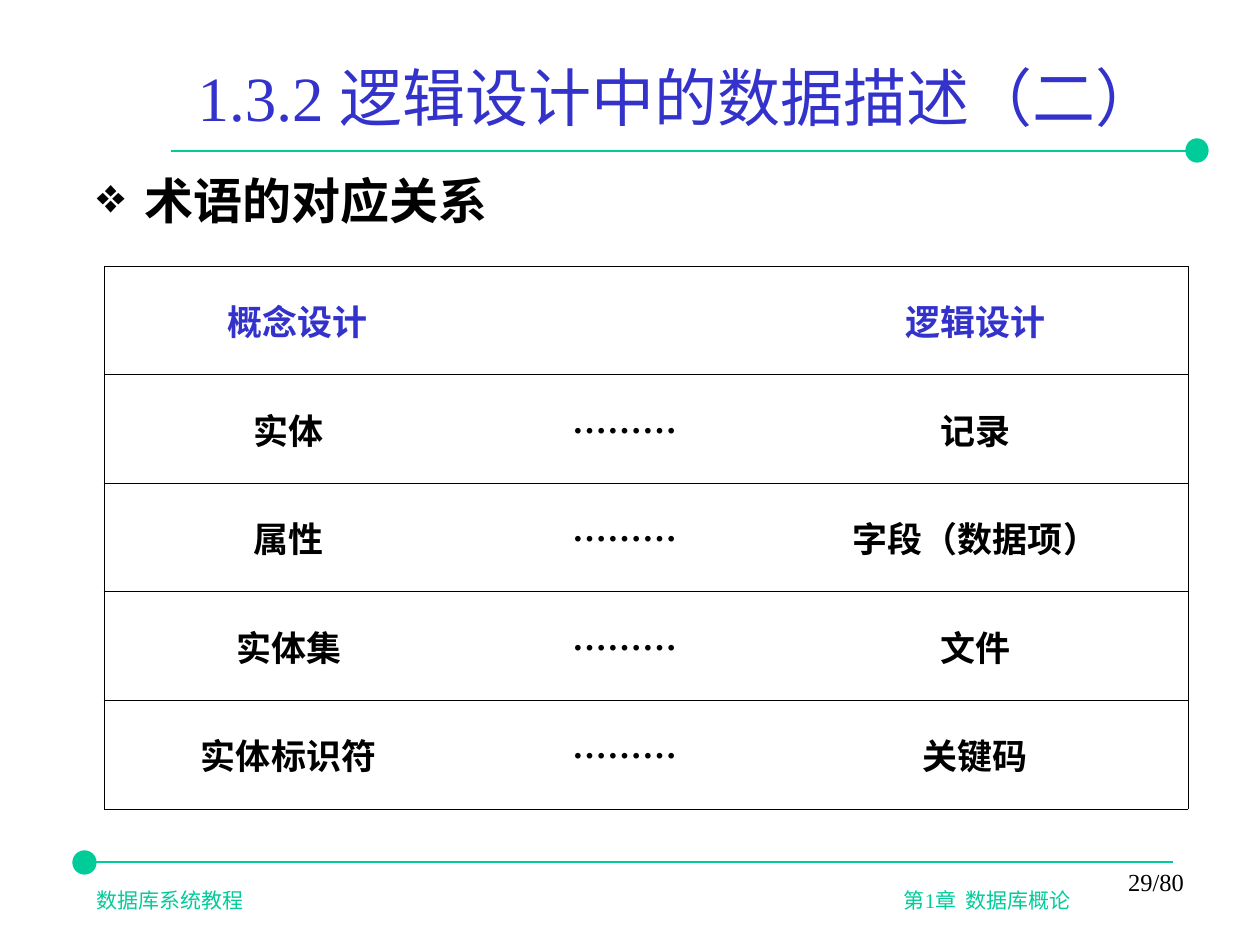
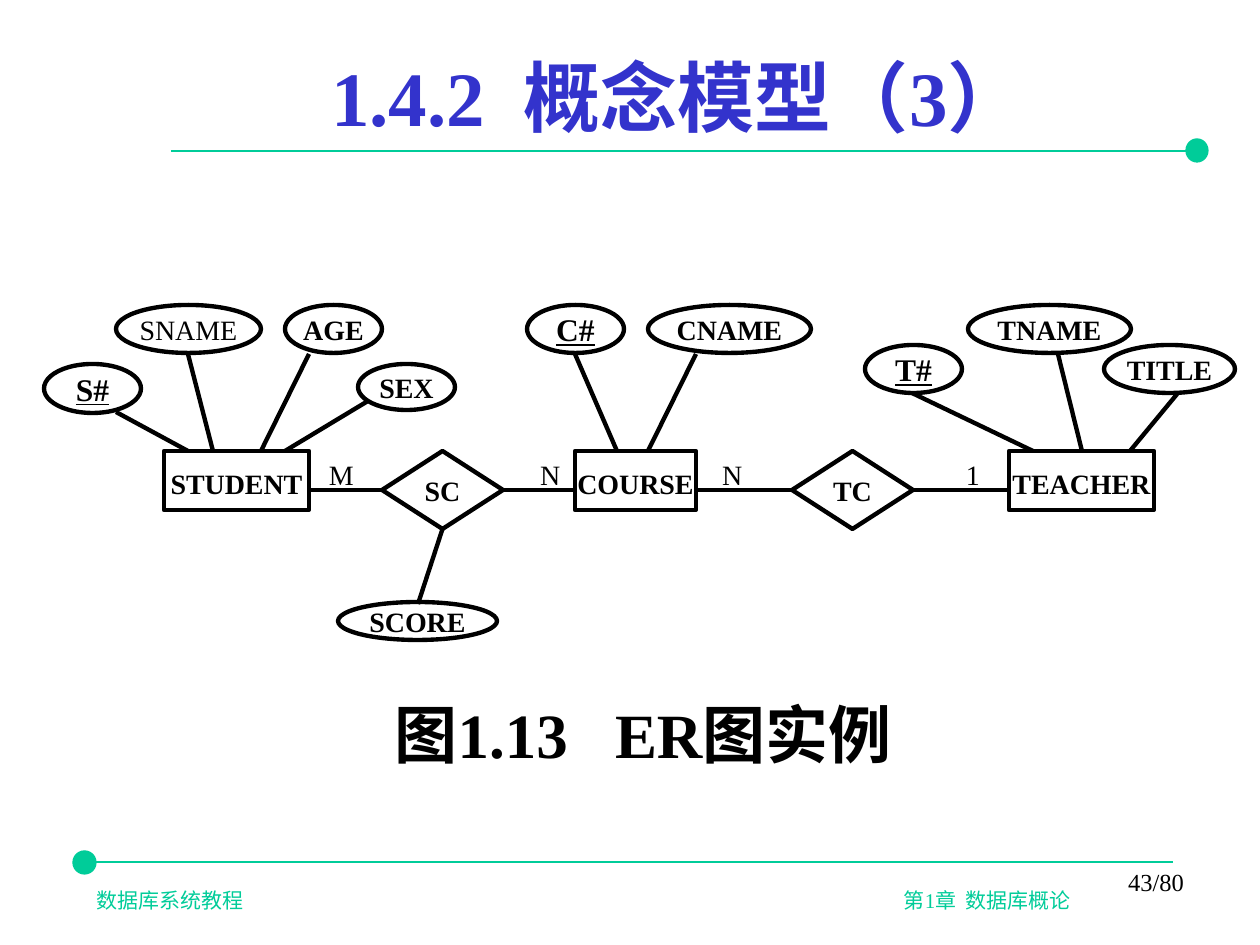
from dataclasses import dataclass

from pptx import Presentation
from pptx.dml.color import RGBColor
from pptx.enum.lang import MSO_LANGUAGE_ID
from pptx.enum.shapes import MSO_CONNECTOR, MSO_SHAPE
from pptx.enum.text import MSO_ANCHOR, PP_ALIGN
from pptx.oxml.ns import qn
from pptx.util import Emu, Pt
from lxml.etree import SubElement


@dataclass(frozen=True)
class Theme:
    """Colours, font and type sizes of the deck."""
    title: RGBColor = RGBColor(0x33, 0x33, 0xCC)
    accent: RGBColor = RGBColor(0x00, 0xCC, 0x99)
    ink: RGBColor = RGBColor(0, 0, 0)
    font: str = "Times New Roman"
    heading: int = 36
    large_heading: int = 44
    body: int = 28
    cell: int = 20
    key: int = 18
    label: int = 16
    page: int = 14
    footer: int = 12
    rule_width: float = 1.25
    diagram_width: float = 2.5
    border_width: float = 0.45


T = Theme()
INSETS = (13, 6, 13, 6)

TERMS = [
    ("实体", "记录"),
    ("属性", "字段（数据项）"),
    ("实体集", "文件"),
    ("实体标识符", "关键码"),
]

ENTITIES = [("STUDENT", 120, 145), ("COURSE", 531, 121), ("TEACHER", 965, 145)]
ENTITY_TOP, ENTITY_HEIGHT = 146, 59
RELATIONS = [("SC", 338), ("TC", 748)]
RELATION_SIZE = (121, 78)
CARDINALITIES = [("M", 272), ("N", 483), ("N", 665), ("1", 909)]
ATTRIBUTES = [
    ("S#", (0, 59, 97, 49), (72, 107), 144),
    ("SNAME", (72, 0, 145, 48), (144, 49), 169),
    ("AGE", (241, 0, 97, 48), (265, 49), 217),
    ("SEX", (314, 59, 97, 46), (324, 96), 241),
    ("C#", (483, 0, 97, 48), (531, 49), 573),
    ("CNAME", (604, 0, 163, 48), (652, 49), 604),
    ("T#", (821, 40, 97, 48), (868, 88), 989),
    ("TNAME", (924, 0, 163, 48), (1014, 49), 1038),
    ("TITLE", (1060, 40, 131, 48), (1134, 88), 1086),
]


def px(n):
    """Turn px into EMU at 126 px to the inch."""
    return Emu(round(n * 914400 / 126))


def add_run(p, text, size, color=T.ink, bold=False, underline=False):
    """Add one styled run to a paragraph."""
    r = p.add_run()
    r.text = text
    f = r.font
    f.name, f.size, f.bold, f.underline = T.font, Pt(size), bold, underline
    f.color.rgb = color
    f.language_id = MSO_LANGUAGE_ID.SIMPLIFIED_CHINESE


def set_frame(tf, insets, anchor, align):
    """Set a text frame's margins and alignment and return its paragraph."""
    tf.margin_left, tf.margin_top, tf.margin_right, tf.margin_bottom = map(px, insets)
    tf.vertical_anchor = anchor
    p = tf.paragraphs[0]
    p.alignment = align
    return p


def add_text(s, box, align=PP_ALIGN.LEFT, anchor=MSO_ANCHOR.TOP):
    """Add a wrapping text box and return its paragraph."""
    tf = s.shapes.add_textbox(*map(px, box)).text_frame
    tf.word_wrap = True
    return set_frame(tf, INSETS, anchor, align)


def set_tabs(p, *stops):
    """Give a paragraph tab stops of (px, alignment)."""
    tabs = SubElement(p._p.get_or_add_pPr(), qn("a:tabLst"))
    for pos, align in stops:
        SubElement(tabs, qn("a:tab"), pos=str(px(pos)), algn=align)


def set_bullet(p, char, indent):
    """Give a paragraph a hanging bullet."""
    pPr = p._p.get_or_add_pPr()
    pPr.set("marL", str(px(indent)))
    pPr.set("indent", str(-px(indent)))
    color = SubElement(pPr, qn("a:buClr"))
    SubElement(color, qn("a:srgbClr"), val=str(T.ink))
    SubElement(pPr, qn("a:buChar"), char=char)


def add_line(s, start, end, color=T.ink, width=T.diagram_width):
    """Draw a straight connector without a shadow."""
    c = s.shapes.add_connector(MSO_CONNECTOR.STRAIGHT, *map(px, start + end))
    c.line.color.rgb, c.line.width = color, Pt(width)
    SubElement(c._element.spPr, qn("a:effectLst"))
    return c


def add_node(s, kind, box, text, size=T.label, bold=True, underline=False, top=0):
    """Add an outlined diagram node with centred text."""
    sp = s.shapes.add_shape(kind, *map(px, box))
    sp.shadow.inherit = False
    sp.fill.background()
    sp.line.color.rgb, sp.line.width = T.ink, Pt(T.diagram_width)
    p = set_frame(sp.text_frame, (0, top, 0, 0), MSO_ANCHOR.MIDDLE, PP_ALIGN.CENTER)
    add_run(p, text, size, bold=bold, underline=underline)
    return sp


def add_rule(s, start, end, dot):
    """Draw an accent rule with a dot at one end."""
    sp = s.shapes.add_shape(MSO_SHAPE.FLOWCHART_CONNECTOR, *map(px, dot))
    sp.shadow.inherit = False
    sp.fill.solid()
    sp.fill.fore_color.rgb = sp.line.color.rgb = T.accent
    sp.line.width = Pt(0.75)
    add_line(s, start, end, T.accent, T.rule_width)


def add_frame(prs, title, size, page, bold=False):
    """Add a slide with title, rules, footer and page number."""
    s = prs.slides.add_slide(prs.slide_layouts[6])
    add_rule(s, (171, 151), (1197, 151), (1186, 139, 22, 23))
    add_rule(s, (1173, 862), (84, 862), (73, 851, 23, 23))
    p = add_text(s, (84, 882, 1081, 38))
    set_tabs(p, (807, "l"))
    add_run(p, "数据库系统教程\t第1章  数据库概论", T.footer, T.accent)
    p = add_text(s, (171, 32, 1014, 128), PP_ALIGN.CENTER, MSO_ANCHOR.MIDDLE)
    add_run(p, title, size, T.title, bold)
    p = add_text(s, (903, 861, 294, 63), PP_ALIGN.RIGHT)
    add_run(p, f"{page}/80", T.page)
    return s


def style_cell(cell, edges, align):
    """Clear a cell's fill, draw the named edges and return its paragraph."""
    tcPr = cell._tc.get_or_add_tcPr()
    for edge in "LRTB":
        ln = SubElement(tcPr, qn(f"a:ln{edge}"), w=str(Pt(T.border_width)))
        if edge in edges:
            fill = SubElement(ln, qn("a:solidFill"))
            SubElement(fill, qn("a:srgbClr"), val=str(T.ink))
        else:
            SubElement(ln, qn("a:noFill"))
    cell.fill.background()
    cell.vertical_anchor = MSO_ANCHOR.MIDDLE
    p = cell.text_frame.paragraphs[0]
    p.alignment = align
    return p


def add_terms_table(s, x, y, w, h):
    """Pair the conceptual terms with the logical ones."""
    rows = [("概念设计", "逻辑设计"), *TERMS]
    table = s.shapes.add_table(len(rows), 2, *map(px, (x, y, w, h))).table
    table.first_row = table.horz_banding = False
    table.columns[0].width, table.columns[1].width = px(659), px(w - 659)
    for i, (concept, logical) in enumerate(rows):
        table.rows[i].height = px(h / len(rows))
        color = T.ink if i else T.title
        p = style_cell(table.cell(i, 0), "LTB", PP_ALIGN.LEFT)
        set_tabs(p, (172 if i else 181, "ctr"), (508, "ctr"))
        add_run(p, f"\t{concept}", T.cell, color, True)
        if i:
            add_run(p, "\t………", T.cell, color, True)
        p = style_cell(table.cell(i, 1), "RTB", PP_ALIGN.CENTER)
        add_run(p, logical, T.cell, color, True)


def add_er_diagram(s, x, y):
    """Draw entities, relations and attributes from a top left corner."""
    w, h = RELATION_SIZE
    middle = y + ENTITY_TOP + h // 2
    for name, left, width in ENTITIES:
        box = (x + left, y + ENTITY_TOP, width, ENTITY_HEIGHT)
        add_node(s, MSO_SHAPE.RECTANGLE, box, name, top=5)
    for name, (left, top, width, height), (x1, y1), x2 in ATTRIBUTES:
        key = name.endswith("#")
        add_node(s, MSO_SHAPE.OVAL, (x + left, y + top, width, height), name,
                 T.key if key else T.label, name != "SNAME", key)
        add_line(s, (x + x1, y + y1), (x + x2, y + ENTITY_TOP))
    diamonds = []
    for (name, left), before, after in zip(RELATIONS, ENTITIES, ENTITIES[1:]):
        box = (x + left, y + ENTITY_TOP, w, h)
        sp = add_node(s, MSO_SHAPE.FLOWCHART_DECISION, box, name)
        c = add_line(s, (x + before[1] + before[2], middle), (x + left, middle))
        c.end_connect(sp, 1)
        c = add_line(s, (x + left + w, middle), (x + after[1], middle))
        c.begin_connect(sp, 3)
        diamonds.append(sp)
    add_node(s, MSO_SHAPE.OVAL, (x + 294, y + 297, 159, 38), "SCORE")
    c = add_line(s, (x + 398, y + 224), (x + 374, y + 299))
    c.begin_connect(diamonds[0], 2)
    for text, left in CARDINALITIES:
        p = add_text(s, (x + left, y + ENTITY_TOP, 69, ENTITY_HEIGHT))
        add_run(p, text, T.label)


def build_terms_slide(prs):
    """Build the slide on matching terms."""
    s = add_frame(prs, "1.3.2 逻辑设计中的数据描述（二）", T.heading, 29)
    p = add_text(s, (84, 165, 542, 90))
    set_bullet(p, "❖", 48)
    add_run(p, "术语的对应关系", T.body, bold=True)
    add_terms_table(s, 104, 266, 1084, 543)


def build_er_slide(prs):
    """Build the slide with the ER diagram."""
    s = add_frame(prs, "1.4.2  概念模型（3）", T.large_heading, 43, True)
    add_er_diagram(s, 44, 305)
    p = add_text(s, (218, 690, 850, 88), PP_ALIGN.CENTER)
    add_run(p, "图1.13   ER图实例", T.heading, bold=True)


def main():
    """Build and save the deck."""
    prs = Presentation()
    prs.slide_width, prs.slide_height = px(1260), px(945)
    build_terms_slide(prs)
    build_er_slide(prs)
    prs.save("out.pptx")


if __name__ == "__main__":
    main()
